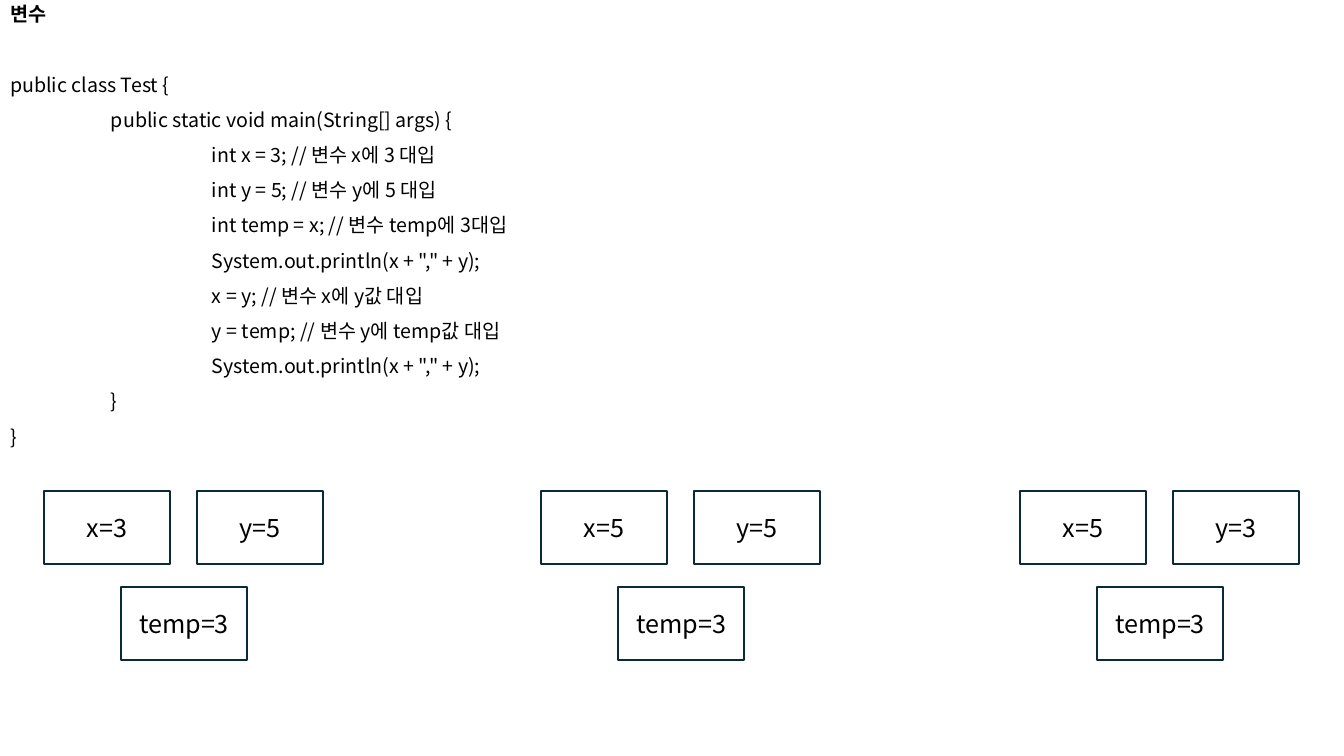
import pptx
import pptx.dml.color
import pptx.enum.shapes
import pptx.enum.text
import pptx.oxml.ns
import pptx.util
from lxml import etree

# Content
HEADING = "변수"
CODE = [
    (0, "public class Test {"),
    (1, "public static void main(String[] args) {"),
    (2, "int x = 3; // 변수 x에 3 대입"),
    (2, "int y = 5; // 변수 y에 5 대입"),
    (2, "int temp = x; // 변수 temp에 3대입"),
    (2, 'System.out.println(x + "," + y);'),
    (2, "x = y; // 변수 x에 y값 대입"),
    (2, "y = temp; // 변수 y에 temp값 대입"),
    (2, 'System.out.println(x + "," + y);'),
    (1, "}"),
    (0, "}"),
]
# Left edge of each memory state, then its values
STATES = [
    (44, ("x=3", "y=5", "temp=3")),
    (541, ("x=5", "y=5", "temp=3")),
    (1020, ("x=5", "y=3", "temp=3")),
]

# Theme and layout, lengths in px
THEME = {"font": "Noto Sans CJK KR", "ink": "000000", "outline": "092A39",
         "code_size": 14, "value_size": 18, "outline_width": 1.5}
SLIDE_W, SLIDE_H = 1344, 756
BOX_W, BOX_H = 126, 73
SLOTS = [(0, 491), (153, 491), (77, 587)]  # x, y and temp within a state
CODE_INSET, CODE_INDENT = 10, 101
LINE_GAP, HEADING_GAP = 10, 35  # points


def px(length):
    return round(length * 914400 / 100.8)


def color(name):
    return pptx.dml.color.RGBColor.from_string(THEME[name])


def assign(target, values):
    for name, value in values.items():
        setattr(target, name, value)


def write(paragraph, text, size, bold=False):
    run = paragraph.add_run()
    run.text = text
    assign(run.font, {"name": THEME["font"], "bold": bold,
                      "size": pptx.util.Pt(THEME[size])})
    run.font.color.rgb = color("ink")
    # Hangul takes the East Asian typeface
    east_asian = etree.SubElement(run.font._element, pptx.oxml.ns.qn("a:ea"))
    east_asian.set("typeface", THEME["font"])


deck = pptx.Presentation()
assign(deck, {"slide_width": px(SLIDE_W), "slide_height": px(SLIDE_H)})
slide = deck.slides.add_slide(deck.slide_layouts[6])

# Heading and code listing
listing = slide.shapes.add_textbox(0, 0, px(SLIDE_W), px(SLIDE_H)).text_frame
assign(listing, {"word_wrap": True, "margin_left": px(CODE_INSET)})
lines = [(0, HEADING)] + CODE
for number, (depth, text) in enumerate(lines):
    line = listing.add_paragraph() if number else listing.paragraphs[0]
    gap = HEADING_GAP if number == 1 else LINE_GAP
    assign(line, {"line_spacing": 0.9, "space_before": pptx.util.Pt(gap)})
    indent = line._p.get_or_add_pPr()
    indent.set("marL", str(px(depth * CODE_INDENT)))
    indent.set("indent", "0")
    write(line, text, "code_size", bold=number == 0)

# Variable boxes for each state
for state_left, values in STATES:
    for (offset, top), value in zip(SLOTS, values):
        box = slide.shapes.add_shape(
            pptx.enum.shapes.MSO_SHAPE.RECTANGLE,
            px(state_left + offset), px(top), px(BOX_W), px(BOX_H))
        box.shadow.inherit = False
        box.fill.background()
        box.line.color.rgb = color("outline")
        box.line.width = pptx.util.Pt(THEME["outline_width"])
        box.text_frame.vertical_anchor = pptx.enum.text.MSO_ANCHOR.MIDDLE
        label = box.text_frame.paragraphs[0]
        label.alignment = pptx.enum.text.PP_ALIGN.CENTER
        write(label, value, "value_size")

deck.save("out.pptx")
